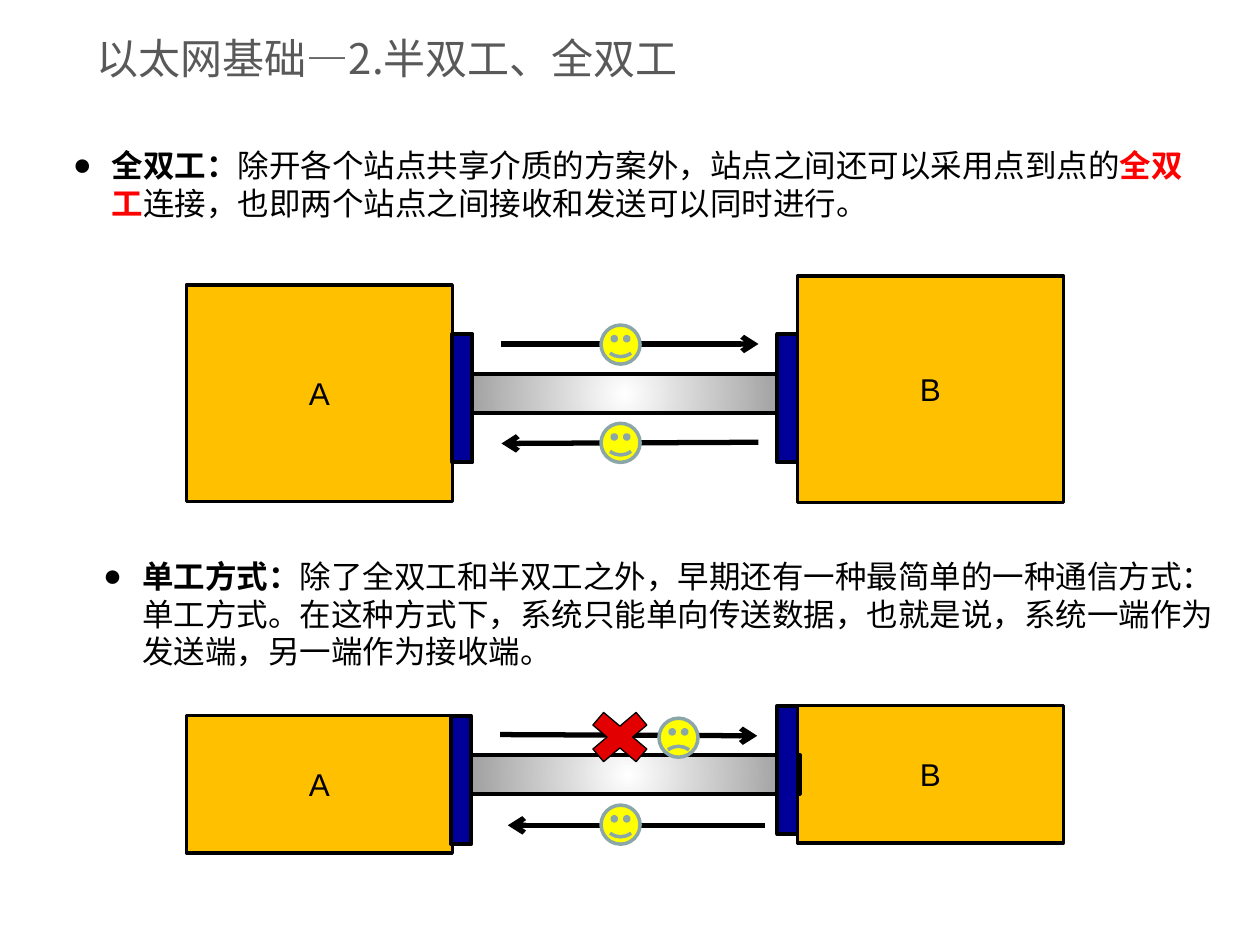
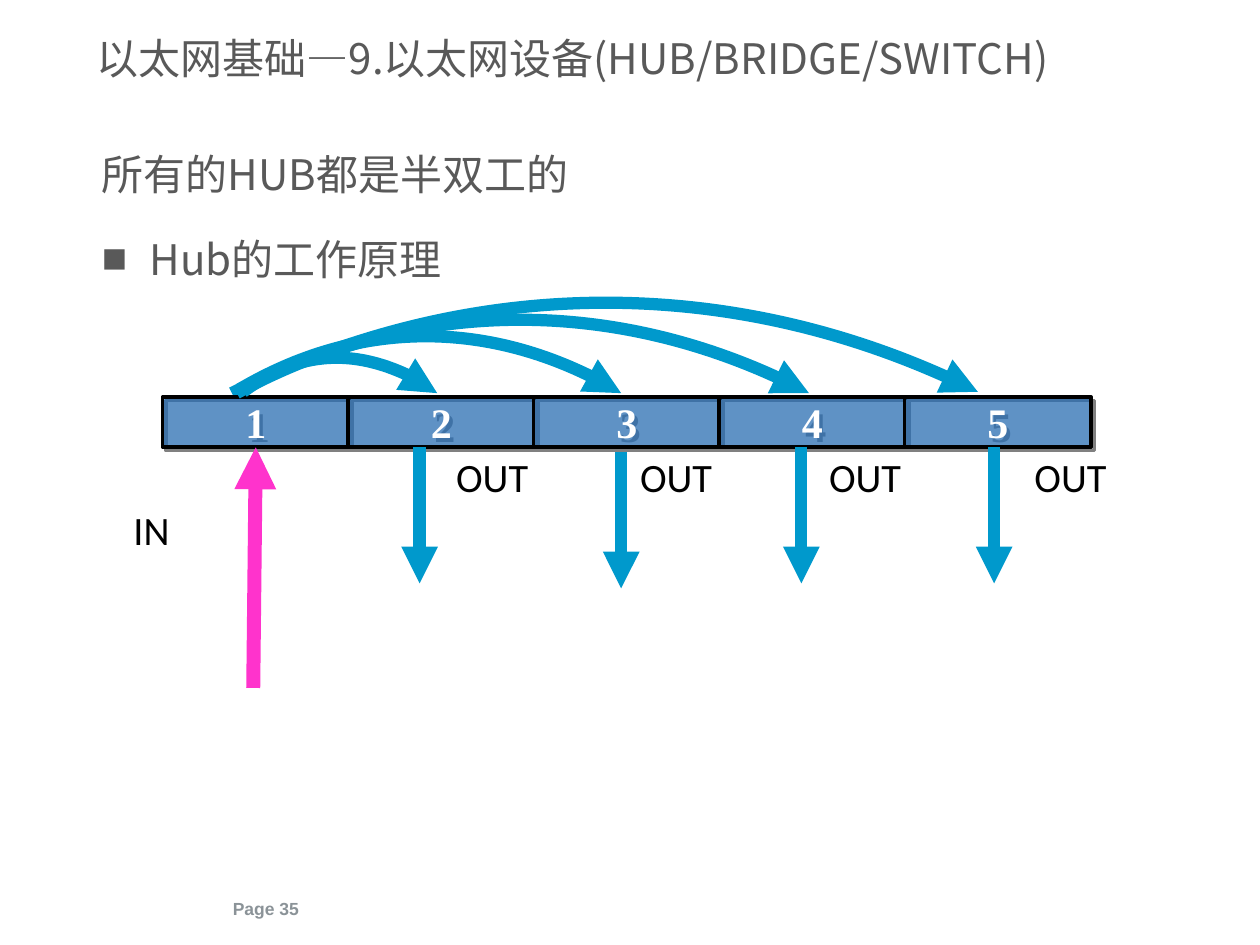
"""Build two Ethernet slides: duplex modes and how a hub works."""
from dataclasses import dataclass

from lxml import etree
from pptx import Presentation
from pptx import util as u
from pptx.dml import color
from pptx.enum import shapes, text
from pptx.oxml import ns

COLORS = {
    "black": "000000", "title": "595959", "red": "FF0000", "station": "FFC000",
    "adapter": "000099", "channel_center": "FFFFFF", "channel_edge": "979797",
    "face": "FFFF00", "face_line": "8AA6A8", "cross": "E20000", "port": "0066CC",
    "white": "FFFFFF", "shadow": "808080", "out": "0099CC", "in": "FF33CC",
    "footer": "8B9398",
}
CJK = "Noto Sans CJK SC"
LATIN = "Arial"
PREFIX = "以太网基础—"


@dataclass(frozen=True)
class Box:
    """A rectangle in inches."""
    left: float
    top: float
    width: float
    height: float

    def lengths(self) -> tuple:
        """Return the four sides as lengths."""
        return tuple(u.Inches(side) for side in (self.left, self.top, self.width, self.height))


@dataclass(frozen=True)
class Run:
    """A piece of text with its own weight and colour."""
    words: str
    bold: bool = False
    color: str = "black"


@dataclass(frozen=True)
class Arrow:
    """A straight arrow between two points in inches."""
    start: tuple
    end: tuple
    color: str = "black"
    weight: float = 3
    head: str = "arrow"


@dataclass(frozen=True)
class Face:
    """A smiley or a sad face."""
    left: float
    top: float
    mouth: float = 0.047


@dataclass(frozen=True)
class Link:
    """Two stations, their adapters, the channel and its traffic."""
    station_a: Box
    station_b: Box
    channel: Box
    adapters: tuple
    arrows: tuple


def rgb(name: str) -> color.RGBColor:
    """Look up a named colour."""
    return color.RGBColor.from_string(COLORS[name])


def child(parent, tag: str, **attributes):
    """Append a drawing element."""
    return etree.SubElement(parent, ns.qn(tag), attributes)


def write(shape, words, *, size: float = 18, font: str = CJK, color: str = "black",
          bold: bool = False, align=text.PP_ALIGN.LEFT, anchor=text.MSO_ANCHOR.TOP,
          wrap: bool = True, margins: bool = True, bullet: str = "",
          indent: float = 0) -> None:
    """Fill a shape with one formatted paragraph of text or runs."""
    frame = shape.text_frame
    frame.word_wrap = wrap
    frame.vertical_anchor = anchor
    if not margins:
        frame.margin_left = frame.margin_right = frame.margin_top = frame.margin_bottom = 0
    paragraph = frame.paragraphs[0]
    paragraph.alignment = align
    if bullet:
        properties = paragraph._p.get_or_add_pPr()
        properties.set("marL", str(u.Inches(indent)))
        properties.set("indent", str(-u.Inches(indent)))
        child(properties, "a:buFont", typeface=LATIN)
        child(properties, "a:buChar", char=bullet)
    for part in [Run(words, bold, color)] if isinstance(words, str) else words:
        run = paragraph.add_run()
        run.text = part.words
        run.font.size = u.Pt(size)
        run.font.bold = part.bold
        run.font.name = font
        run.font.color.rgb = rgb(part.color)
        child(run.font._element, "a:ea", typeface=font)


def add_text(slide, box: Box, words, **style) -> None:
    """Add a text box."""
    write(slide.shapes.add_textbox(*box.lengths()), words, **style)


def add_title(slide, words: str) -> None:
    """Add the shared slide title."""
    add_text(slide, Box(0.67, 0.17, 8.67, 0.58), PREFIX + words, size=24, color="title",
             anchor=text.MSO_ANCHOR.MIDDLE)


def set_line(shape, name: str, weight: float) -> None:
    """Set outline colour and weight."""
    shape.line.color.rgb = rgb(name)
    shape.line.width = u.Pt(weight)


def set_arrowhead(shape, end: str, kind: str) -> None:
    """Put an arrowhead at one end of an outline."""
    child(shape._element.spPr.find(ns.qn("a:ln")), f"a:{end}", type=kind)


def add_preset(slide, kind, box: Box, fill: str, line: str = "black", weight: float = 2):
    """Add a filled and outlined preset shape."""
    shape = slide.shapes.add_shape(kind, *box.lengths())
    shape.shadow.inherit = False
    shape.fill.solid()
    shape.fill.fore_color.rgb = rgb(fill)
    set_line(shape, line, weight)
    return shape


def add_arrow(slide, arrow: Arrow):
    """Add a connector with an arrowhead at its end."""
    points = (u.Inches(value) for value in (*arrow.start, *arrow.end))
    connector = slide.shapes.add_connector(shapes.MSO_CONNECTOR.STRAIGHT, *points)
    set_line(connector, arrow.color, arrow.weight)
    set_arrowhead(connector, "tailEnd", arrow.head)
    child(connector._element.spPr, "a:effectLst")
    return connector


def add_face(slide, face: Face) -> None:
    """Add a face whose mouth curves up or down."""
    shape = add_preset(slide, shapes.MSO_SHAPE.SMILEY_FACE, Box(face.left, face.top, 0.31, 0.31),
                       "face", "face_line")
    shape.adjustments[0] = face.mouth


def add_channel(slide, box: Box) -> None:
    """Add the cable with its radial gradient."""
    shape = add_preset(slide, shapes.MSO_SHAPE.RECTANGLE, box, "channel_edge")
    shape.fill.gradient()
    for stop, name in zip(shape.fill.gradient_stops, ("channel_center", "channel_edge")):
        stop.color.rgb = rgb(name)
    gradient = shape._element.spPr.find(ns.qn("a:gradFill"))
    gradient.remove(gradient.find(ns.qn("a:lin")))
    center = dict.fromkeys("ltrb", "50000")
    child(child(gradient, "a:path", path="circle"), "a:fillToRect", **center)


def add_link(slide, link: Link) -> None:
    """Draw two connected stations."""
    for label, box in (("A", link.station_a), ("B", link.station_b)):
        station = add_preset(slide, shapes.MSO_SHAPE.RECTANGLE, box, "station")
        write(station, label, font=LATIN, align=text.PP_ALIGN.CENTER,
              anchor=text.MSO_ANCHOR.MIDDLE)
    add_channel(slide, link.channel)
    for left, top in link.adapters:
        add_preset(slide, shapes.MSO_SHAPE.RECTANGLE, Box(left, top, 0.16, 1.02), "adapter",
                   weight=2.25)
    for arrow in link.arrows:
        add_arrow(slide, arrow)


def add_arc(slide, *points: tuple) -> None:
    """Draw a cubic curve from its target, where the arrowhead is, to its source."""
    corners = [(u.Inches(x), u.Inches(y)) for x, y in points]
    builder = slide.shapes.build_freeform(*corners[0])
    builder.add_line_segments(corners[1:], close=False)
    arc = builder.convert_to_shape()
    outline = next(arc._element.spPr.iter(ns.qn("a:path")))
    segments = outline.findall(ns.qn("a:lnTo"))
    curve = child(outline, "a:cubicBezTo")
    for segment in segments:
        curve.append(segment[0])
        outline.remove(segment)
    arc.shadow.inherit = False
    arc.fill.background()
    set_line(arc, "out", 7)
    set_arrowhead(arc, "headEnd", "triangle")


def add_port(slide, number: int):
    """Add one translucent hub port with a drop shadow."""
    pitch = 5.89 / 4
    port = add_preset(slide, shapes.MSO_SHAPE.RECTANGLE,
                      Box(1.29 + (number - 1) * pitch, 3.15, 1.48, 0.4), "port")
    properties = port._element.spPr
    fill = properties.find(ns.qn("a:solidFill")).find(ns.qn("a:srgbClr"))
    child(fill, "a:alpha", val="50000")
    shadow = child(properties.find(ns.qn("a:effectLst")), "a:outerShdw",
                   dist=str(u.Pt(2.8)), dir="2700000", algn="ctr", rotWithShape="0")
    child(child(shadow, "a:srgbClr", val=COLORS["shadow"]), "a:alpha", val="50000")
    write(port, str(number), size=24, font="Times New Roman", color="white", bold=True,
          align=text.PP_ALIGN.CENTER, anchor=text.MSO_ANCHOR.MIDDLE, wrap=False)
    return port


def build_duplex_slide(slide) -> None:
    """Compare full duplex with simplex."""
    add_title(slide, "2.半双工、全双工")
    note = {"bullet": "●", "indent": 0.31}
    add_text(slide, Box(0.48, 1.11, 9.18, 0.71), [
        Run("全双工：", True),
        Run("除开各个站点共享介质的方案外，站点之间还可以采用点到点的"),
        Run("全双工", True, "red"),
        Run("连接，也即两个站点之间接收和发送可以同时进行。")], **note)
    add_link(slide, Link(
        Box(1.48, 2.26, 2.11, 1.72), Box(6.33, 2.19, 2.11, 1.8), Box(3.59, 2.97, 2.73, 0.31),
        ((3.59, 2.65), (6.17, 2.65)),
        (Arrow((3.98, 2.73), (6.02, 2.73)), Arrow((6.02, 3.51), (3.98, 3.52)))))
    add_text(slide, Box(0.72, 4.37, 9.18, 1.01), [
        Run("单工方式：", True),
        Run("除了全双工和半双工之外，早期还有一种最简单的一种通信方式：单工方式。"
            "在这种方式下，系统只能单向传送数据，也就是说，系统一端作为发送端，"
            "另一端作为接收端。")], **note)
    add_link(slide, Link(
        Box(1.48, 5.68, 2.11, 1.09), Box(6.33, 5.6, 2.11, 1.09), Box(3.62, 5.99, 2.73, 0.31),
        ((3.58, 5.68), (6.17, 5.6)),
        (Arrow((3.97, 5.83), (6.01, 5.84)), Arrow((6.07, 6.55), (4.03, 6.55)))))
    add_preset(slide, shapes.MSO_SHAPE.MATH_MULTIPLY, Box(4.59, 5.57, 0.66, 0.56), "cross",
               weight=0.75)
    for face in (Face(4.77, 2.58), Face(4.77, 3.36), Face(4.77, 6.39), Face(5.23, 5.7, -0.047)):
        add_face(slide, face)


def build_hub_slide(slide) -> None:
    """Show a hub repeating one input on every other port."""
    add_title(slide, "9.以太网设备(HUB/BRIDGE/SWITCH)")
    heading = {"size": 24, "color": "title"}
    add_text(slide, Box(0.71, 1.13, 7.49, 0.53), "所有的HUB都是半双工的", **heading)
    add_text(slide, Box(0.71, 1.8, 7.49, 0.45), [Run("Hub的工作原理", color="title")],
             bullet="■", indent=0.38, **heading)
    add_arc(slide, (7.76, 3.11), (5.91, 2.18), (3.69, 2.19), (1.84, 3.12))
    ports = [add_port(slide, number) for number in range(1, 6)]
    incoming = add_arrow(slide, Arrow((2.01, 5.46), (2.03, 3.55), "in", 8, "triangle"))
    incoming.end_connect(ports[0], 2)
    add_arc(slide, (3.47, 3.12), (3.02, 2.77), (2.38, 2.77), (1.93, 3.11))
    add_arc(slide, (4.93, 3.12), (4.01, 2.55), (2.83, 2.54), (1.9, 3.09))
    add_arc(slide, (6.42, 3.12), (5.01, 2.37), (3.28, 2.36), (1.88, 3.12))
    labels = [("IN", 1.06, 4.01)] + [("OUT", left, 3.59) for left in (3.62, 5.08, 6.58, 8.21)]
    for label, left, top in labels:
        add_text(slide, Box(left, top, 0.77, 0.38), label, size=23, font="Calibri",
                 margins=False)
    for x, top in ((3.33, 3.55), (4.93, 3.59), (6.36, 3.55), (7.89, 3.55)):
        add_arrow(slide, Arrow((x, top), (x, top + 1.08), "out", 7, "triangle"))
    add_text(slide, Box(1.75, 7, 1, 0.42), "Page 35", size=10, font=LATIN, color="footer",
             bold=True, anchor=text.MSO_ANCHOR.MIDDLE)


def main() -> None:
    """Build and save the presentation."""
    presentation = Presentation()
    presentation.slide_width = u.Inches(10)
    presentation.slide_height = u.Inches(7.5)
    for build in (build_duplex_slide, build_hub_slide):
        build(presentation.slides.add_slide(presentation.slide_layouts[6]))
    presentation.save("out.pptx")


if __name__ == "__main__":
    main()
